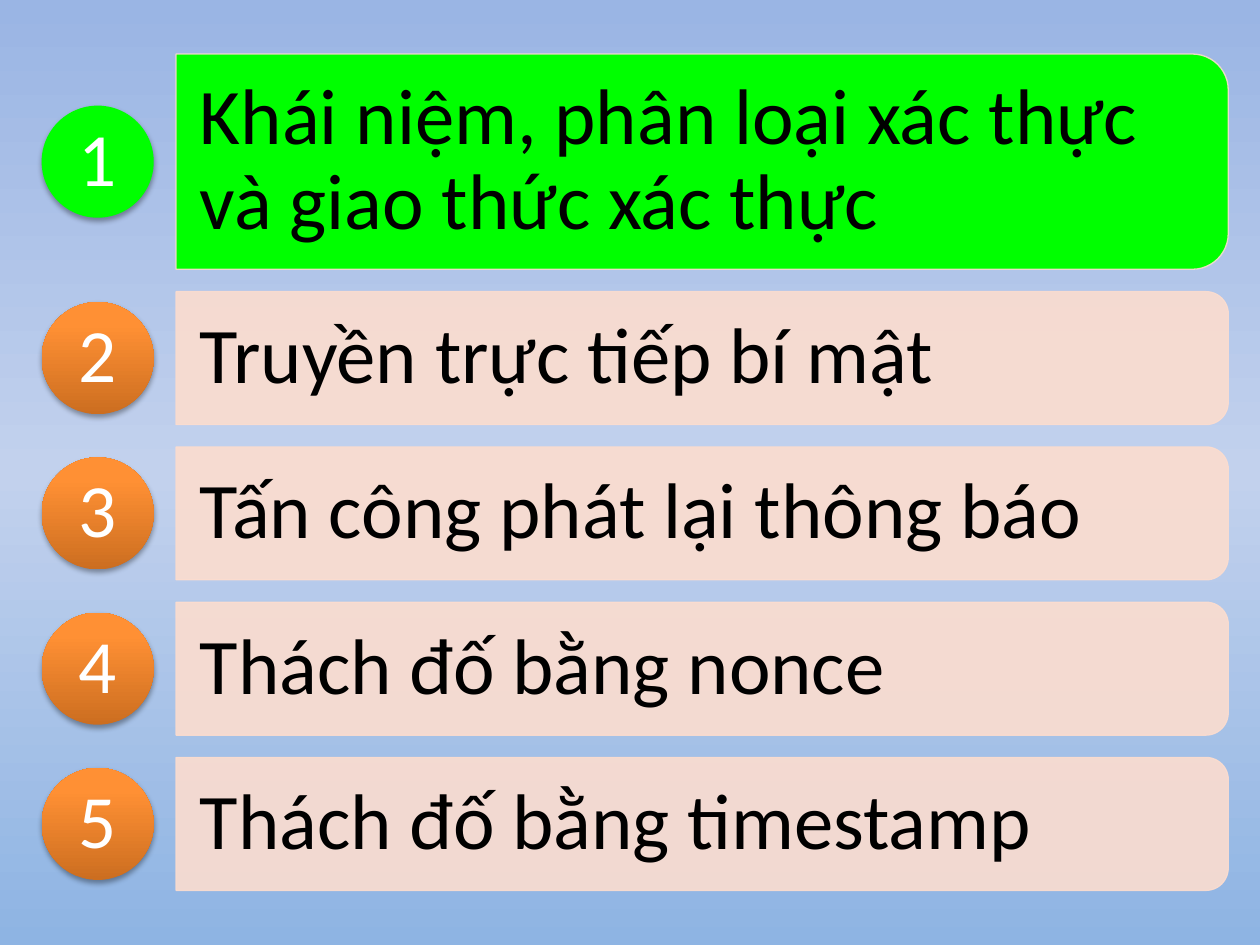
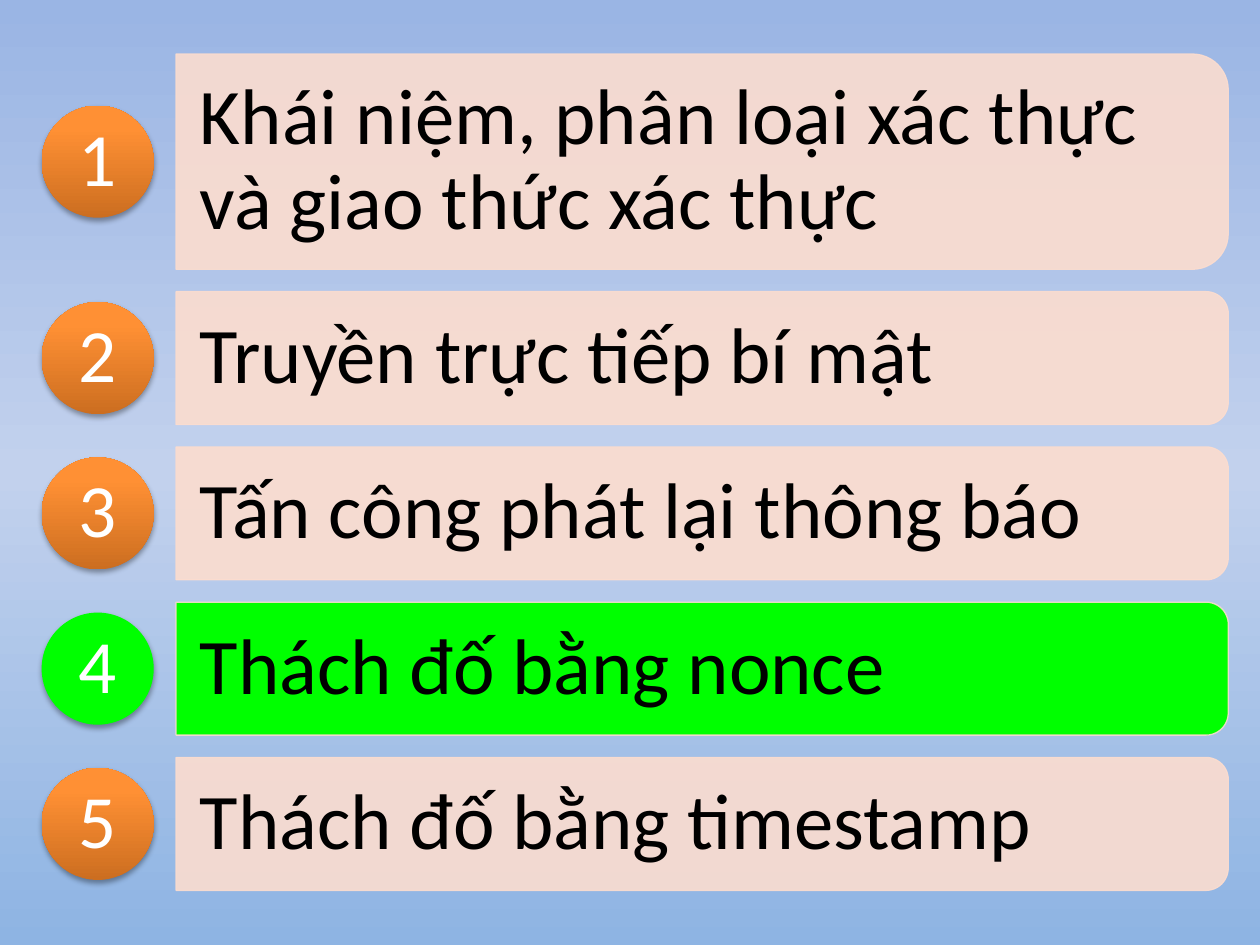
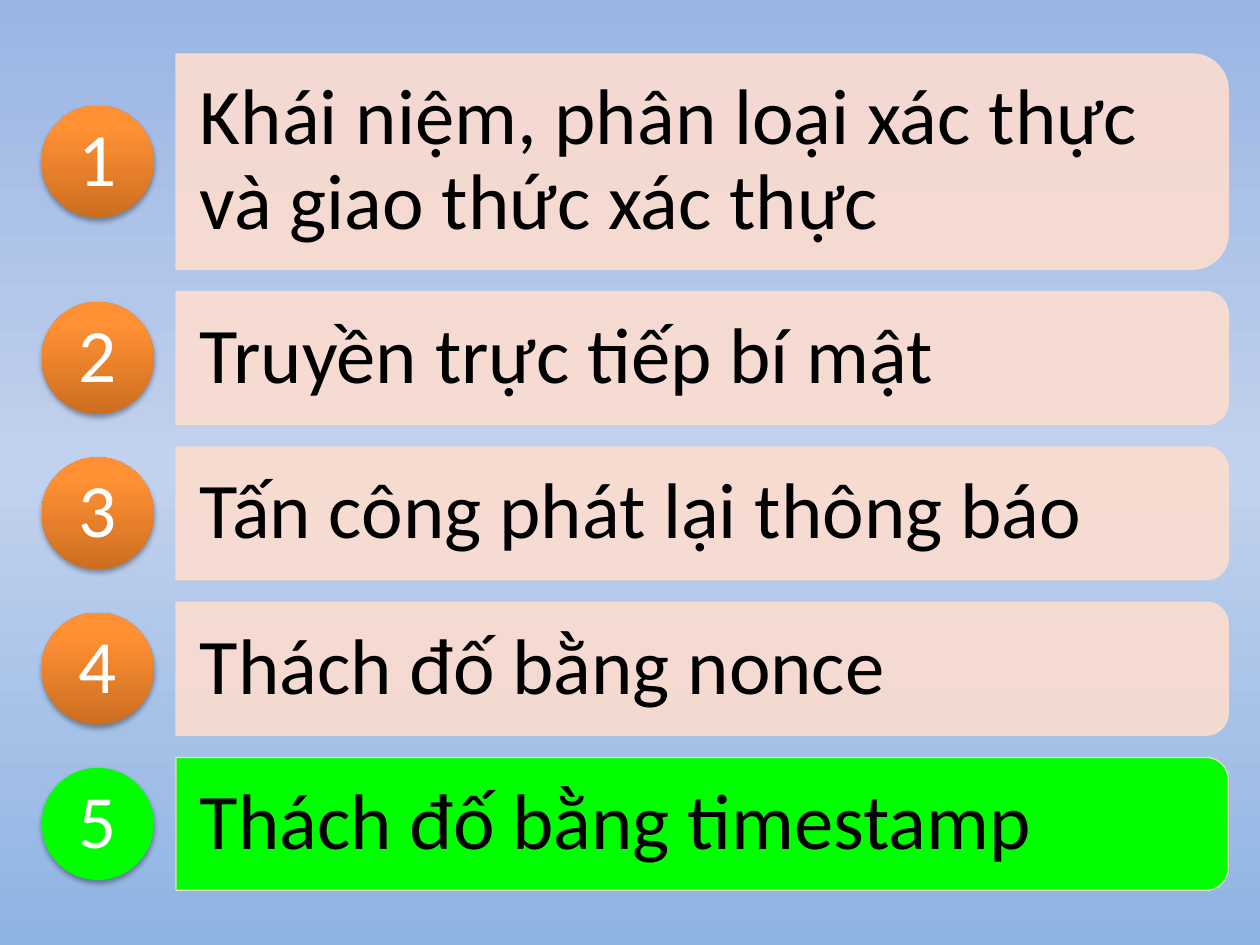
from dataclasses import dataclass

from lxml import etree
from pptx import Presentation
from pptx.dml.color import RGBColor
from pptx.enum.shapes import MSO_SHAPE
from pptx.enum.text import MSO_ANCHOR, PP_ALIGN
from pptx.oxml.ns import qn
from pptx.util import Cm, Pt

ELLIPSE = MSO_SHAPE.OVAL
ROUNDED_END = MSO_SHAPE.ROUND_2_SAME_RECTANGLE
MIDDLE = MSO_ANCHOR.MIDDLE
LEFT, CENTER = PP_ALIGN.LEFT, PP_ALIGN.CENTER


@dataclass(frozen=True)
class Theme:
    font: str = "Calibri"
    topic_size: int = 45
    number_size: int = 43
    topic_text: str = "000000"
    number_text: str = "FFFFFF"
    active: str = "00FF00"
    bar: str = "FCDDCF"
    bar_opacity: int = 90
    shadow: str = "000000"
    shadow_opacity: int = 35
    background: tuple = ((0, "9AB5E4"), (50, "C2D1ED"), (100, "8EB4E3"))
    badge: tuple = ((0, "CC6E20"), (80, "FF9034"), (100, "FF9136"))


THEME = Theme()

# Agenda layout, in centimetres
BAR_LEFT, BAR_WIDTH = 3.55, 21.21
FIRST_TOP, ROW_GAP = 1.09, 0.45
ONE_LINE, TWO_LINES = 2.68, 4.34
BADGE_LEFT, BADGE_SIZE = 0.84, 2.26
CORNER_TRIM = 0.05  # share of the bar height kept clear of the rounded corners

TOPICS = [
    ("Khái niệm, phân loại xác thực và giao thức xác thực", TWO_LINES),
    ("Truyền trực tiếp bí mật", ONE_LINE),
    ("Tấn công phát lại thông báo", ONE_LINE),
    ("Thách đố bằng nonce", ONE_LINE),
    ("Thách đố bằng timestamp", ONE_LINE),
]
ACTIVE_TOPICS = [1, 4, 5]


# Fills and effects
def add_color(parent, color, opacity=100):
    node = etree.SubElement(parent, qn("a:srgbClr"), val=color)
    if opacity < 100:
        add_opacity(node, opacity)


def add_opacity(color_node, percent):
    etree.SubElement(color_node, qn("a:alpha"), val=str(percent * 1000))


def fill_gradient(fill, owner, stops, angle):
    fill.gradient()
    gradient = next(owner.iter(qn("a:gradFill")))
    stop_list = gradient.find(qn("a:gsLst"))
    stop_list.clear()
    for position, color in stops:
        stop = etree.SubElement(stop_list, qn("a:gs"), pos=str(position * 1000))
        add_color(stop, color)
    gradient.find(qn("a:lin")).set("ang", str(angle * 60000))


def fill_solid(fill, color):
    fill.solid()
    fill.fore_color.rgb = RGBColor.from_string(color)


def add_shadow(shape):
    effects = shape._element.spPr.find(qn("a:effectLst"))
    shadow = etree.SubElement(
        effects, qn("a:outerShdw"), blurRad=str(Pt(3.1)), dist=str(Pt(1.8)),
        dir=str(90 * 60000), rotWithShape="0")
    add_color(shadow, THEME.shadow, THEME.shadow_opacity)


# Text
def write(shape, text, size, color, align, side_inset=0.0, end_inset=0.0):
    frame = shape.text_frame
    frame.word_wrap = True
    frame.vertical_anchor = MIDDLE
    frame.margin_left = frame.margin_right = Cm(side_inset)
    frame.margin_top = frame.margin_bottom = Cm(end_inset)
    paragraph = frame.paragraphs[0]
    paragraph.text = text
    paragraph.alignment = align
    paragraph.line_spacing = 0.9
    paragraph.font.name = THEME.font
    paragraph.font.size = Pt(size)
    paragraph.font.color.rgb = RGBColor.from_string(color)


# Agenda parts
def add_bar(slide, top, height, active):
    # The preset rounds its top corners, so a quarter turn moves them right.
    bar = slide.shapes.add_shape(
        ROUNDED_END,
        Cm(BAR_LEFT + (BAR_WIDTH - height) / 2),
        Cm(top + (height - BAR_WIDTH) / 2),
        Cm(height), Cm(BAR_WIDTH))
    bar.rotation = 90
    bar.shadow.inherit = False
    fill_solid(bar.fill, THEME.active if active else THEME.bar)
    fill_solid(bar.line.fill, THEME.bar)
    bar.line.width = Pt(0.75)
    fill_color, line_color = bar._element.spPr.iter(qn("a:srgbClr"))
    add_opacity(line_color, THEME.bar_opacity)
    if not active:
        add_opacity(fill_color, THEME.bar_opacity)


def add_topic(slide, text, top, height):
    trim = height * CORNER_TRIM
    topic = slide.shapes.add_textbox(
        Cm(BAR_LEFT), Cm(top + trim), Cm(BAR_WIDTH - trim), Cm(height - 2 * trim))
    write(topic, text, THEME.topic_size, THEME.topic_text, LEFT, 0.48, 0.3)


def add_badge(slide, number, center, active):
    badge = slide.shapes.add_shape(
        ELLIPSE, Cm(BADGE_LEFT), Cm(center - BADGE_SIZE / 2),
        Cm(BADGE_SIZE), Cm(BADGE_SIZE))
    badge.shadow.inherit = False
    add_shadow(badge)
    badge.line.fill.background()
    if active:
        fill_solid(badge.fill, THEME.active)
    else:
        fill_gradient(badge.fill, badge._element, THEME.badge, 270)
    write(badge, str(number), THEME.number_size, THEME.number_text, CENTER)


def add_agenda_slide(prs, active_topic):
    slide = prs.slides.add_slide(prs.slide_layouts[6])
    top = FIRST_TOP
    for number, (text, height) in enumerate(TOPICS, start=1):
        active = number == active_topic
        add_bar(slide, top, height, active)
        add_topic(slide, text, top, height)
        add_badge(slide, number, top + height / 2, active)
        top += height + ROW_GAP


def main():
    prs = Presentation()
    prs.slide_width, prs.slide_height = Cm(25.4), Cm(19.05)

    # Shared background
    master = prs.slide_master
    fill_gradient(master.background.fill, master._element, THEME.background, 90)

    # One agenda per highlighted topic
    for active_topic in ACTIVE_TOPICS:
        add_agenda_slide(prs, active_topic)
    prs.save("out.pptx")


if __name__ == "__main__":
    main()
